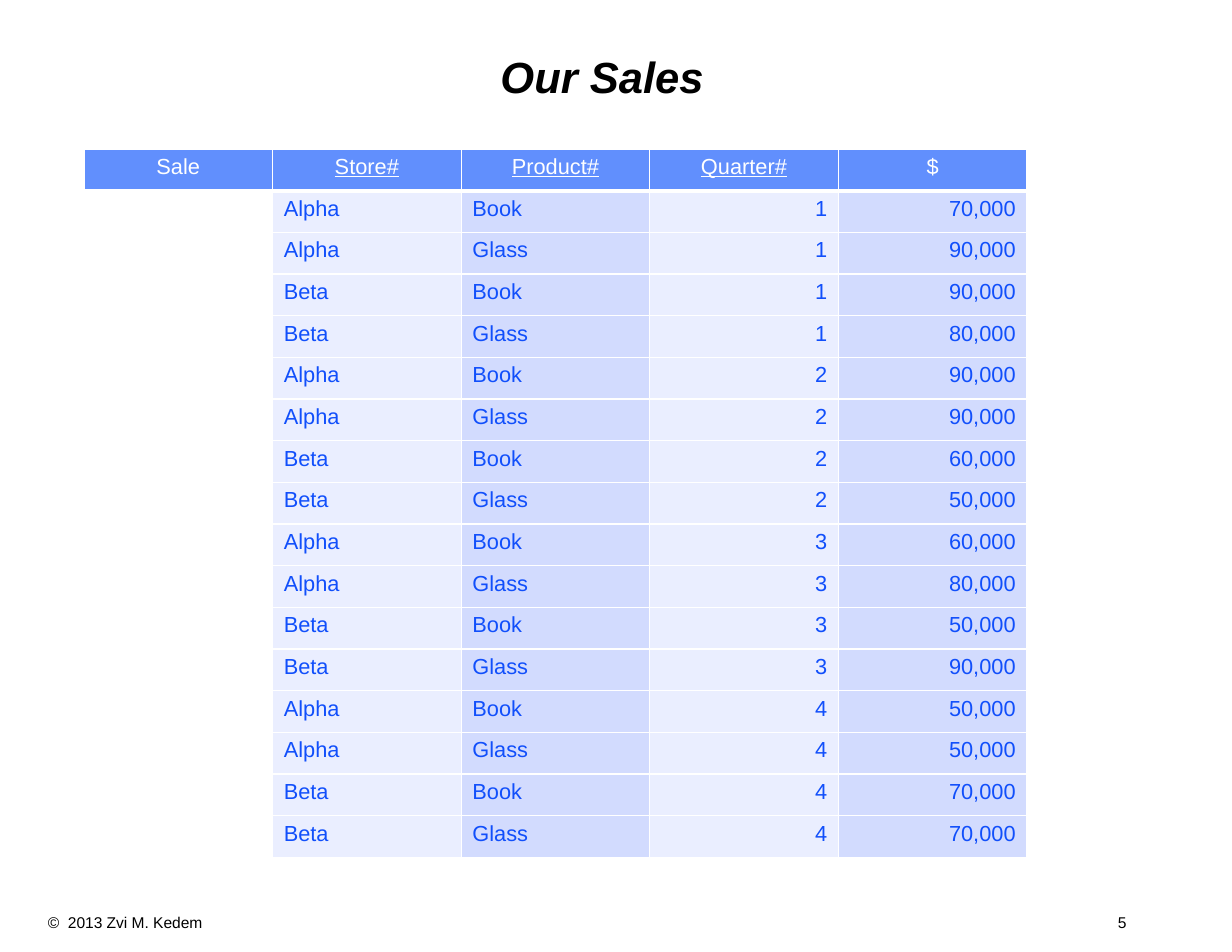
from dataclasses import dataclass
from itertools import product

from lxml.etree import SubElement
from pptx import Presentation
from pptx.dml.color import RGBColor
from pptx.enum.text import MSO_ANCHOR, PP_ALIGN
from pptx.oxml.ns import qn
from pptx.util import Inches, Pt


@dataclass(frozen=True)
class Theme:
    font: str = "Arial"
    black: str = "000000"
    white: str = "FFFFFF"
    head: str = "618FFD"
    ink: str = "114FFB"
    bands: tuple = ("FFFFFF", "EAEEFF", "D2DBFE", "EAEEFF", "D2DBFE")
    title: int = 28
    body: int = 14
    foot: int = 10


THEME = Theme()
HEADS = ("Sale", "Store#", "Product#", "Quarter#", "$")
KEYS = ("Store#", "Product#", "Quarter#")
ALIGNS = (PP_ALIGN.LEFT,) * 3 + (PP_ALIGN.RIGHT,) * 2
SALES = (70, 90, 90, 80, 90, 90, 60, 50, 60, 80, 50, 90, 50, 50, 70, 70)


def style(para, size, color, align=PP_ALIGN.LEFT):
    para.alignment = align
    for run in para.runs:
        run.font.name = THEME.font
        run.font.size = Pt(size)
        run.font.color.rgb = RGBColor.from_string(color)


def add_text(slide, box, text, size, align=PP_ALIGN.LEFT):
    frame = slide.shapes.add_textbox(*map(Inches, box)).text_frame
    frame.word_wrap = True
    frame.text = text
    para = frame.paragraphs[0]
    style(para, size, THEME.black, align)
    return frame, para


def add_title(slide, box):
    frame, para = add_text(slide, box, "Our Sales", THEME.title, PP_ALIGN.CENTER)
    frame.vertical_anchor = MSO_ANCHOR.MIDDLE
    para.line_spacing = 0.9
    font = para.runs[0].font
    font.bold = font.italic = True


def add_foot(slide, box):
    _, para = add_text(slide, box, "©  2013 Zvi M. Kedem\t5", THEME.foot)
    # Page number sits on a right tab
    props = para._p.get_or_add_pPr()
    tabs = SubElement(props, qn("a:tabLst"))
    SubElement(tabs, qn("a:tab"), pos=str(Inches(box[2] - 0.71)), algn="r")


def add_edges(cell, base):
    props = cell._tc.get_or_add_tcPr()
    for side, width in (("L", 1), ("R", 1), ("T", 1), ("B", base)):
        line = SubElement(props, qn("a:ln" + side), w=str(Pt(width)))
        fill = SubElement(line, qn("a:solidFill"))
        SubElement(fill, qn("a:srgbClr"), val=THEME.white)


def set_cell(cell, text, fill, color, align, base=1):
    add_edges(cell, base)
    cell.fill.solid()
    cell.fill.fore_color.rgb = RGBColor.from_string(fill)
    cell.text = text
    para = cell.text_frame.paragraphs[0]
    style(para, THEME.body, color, align)
    if not text:
        para.font.size = Pt(THEME.body)


def add_sales(slide, box):
    # Stores and products repeat within each quarter
    groups = product("1234", ("Alpha", "Beta"), ("Book", "Glass"))
    rows = [("", store, item, term, f"{sale},000")
            for (term, store, item), sale in zip(groups, SALES)]
    count = len(rows) + 1
    table = slide.shapes.add_table(count, len(HEADS), *map(Inches, box)).table
    for col in table.columns:
        col.width = Inches(box[2] / len(HEADS))
    for row in table.rows:
        row.height = Inches(box[3] / count)

    # Header, with key columns underlined
    for c, name in enumerate(HEADS):
        cell = table.cell(0, c)
        set_cell(cell, name, THEME.head, THEME.white, PP_ALIGN.CENTER, 3)
        font = cell.text_frame.paragraphs[0].runs[0].font
        font.bold = False
        font.underline = name in KEYS

    # Body
    for r, row in enumerate(rows, 1):
        for c, text in enumerate(row):
            set_cell(table.cell(r, c), text, THEME.bands[c], THEME.ink, ALIGNS[c])


def main():
    deck = Presentation()
    deck.slide_width, deck.slide_height = Inches(11), Inches(8.5)
    slide = deck.slides.add_slide(deck.slide_layouts[6])
    add_foot(slide, (0.33, 8.1, 10.34, 0.27))
    add_title(slide, (0.75, 0.25, 9.25, 0.92))
    add_sales(slide, (0.75, 1.33, 8.42, 6.33))
    deck.save("out.pptx")


main()
